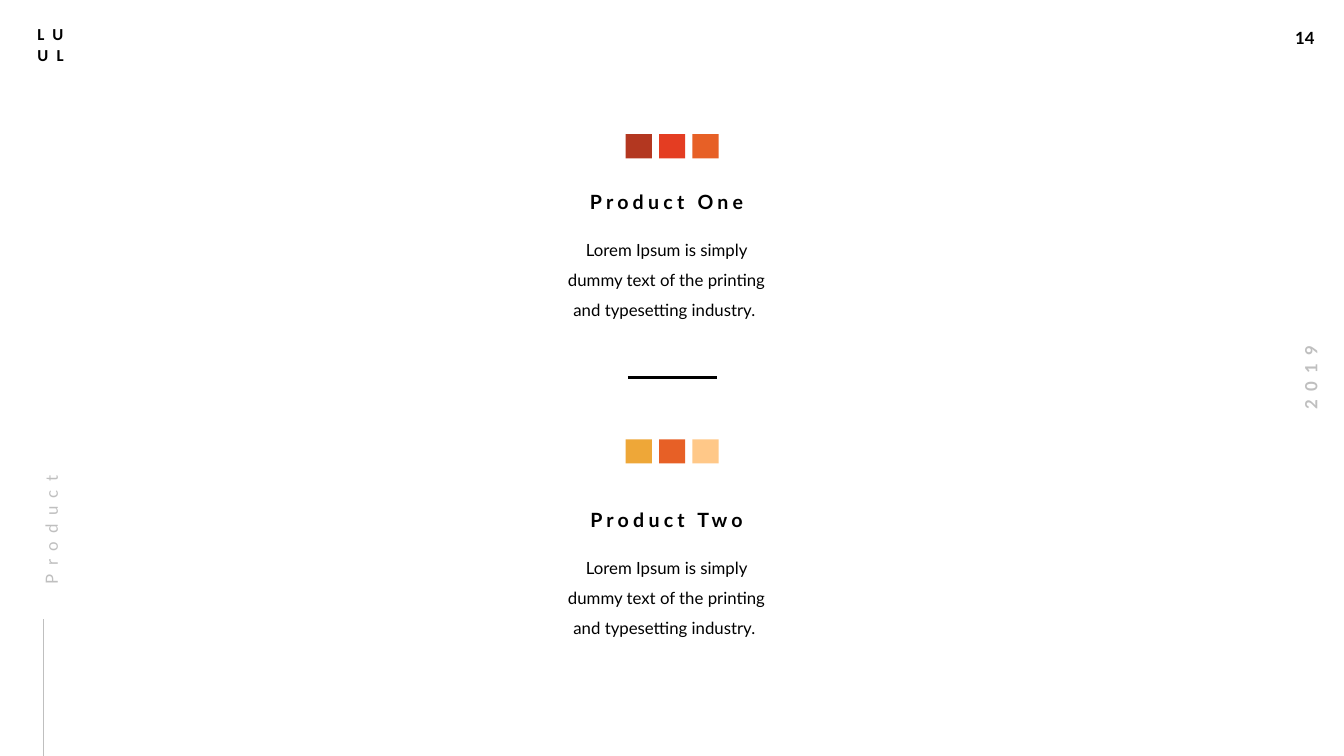
from lxml import etree
from pptx import Presentation
from pptx.dml.color import RGBColor
from pptx.enum.shapes import MSO_CONNECTOR, MSO_SHAPE
from pptx.enum.text import MSO_AUTO_SIZE, PP_ALIGN
from pptx.oxml.ns import qn
from pptx.util import Cm, Pt

STRAIGHT = MSO_CONNECTOR.STRAIGHT
RECTANGLE = MSO_SHAPE.RECTANGLE
FIT_TEXT = MSO_AUTO_SIZE.SHAPE_TO_FIT_TEXT
LEFT, CENTER = PP_ALIGN.LEFT, PP_ALIGN.CENTER

BLACK, GRAY = "000000", "BFBFBF"
DEFAULT_INSETS = (0.25, 0.13, 0.25, 0.13)
TIGHT_INSETS = (0, 0, 0.25, 0)
BLURB = "Lorem Ipsum is simply dummy text of the printing and typesetting industry. "
SLIDE_WIDTH, SLIDE_HEIGHT = 33.87, 19.05


def color(hex_code):
    """Return the colour for a hex string."""
    return RGBColor.from_string(hex_code)


def add_label(slide, box, wording, size=12, font="Lato", ink=BLACK, bold=False,
              tracking=0, align=LEFT, spacing=1.0, insets=DEFAULT_INSETS,
              wrap=True, rotation=0):
    """Place styled text in a box of (left, top, width, height) in cm."""
    label = slide.shapes.add_textbox(*map(Cm, box))
    label.rotation = rotation
    frame = label.text_frame
    frame.word_wrap = wrap
    frame.auto_size = FIT_TEXT
    (frame.margin_left, frame.margin_top,
     frame.margin_right, frame.margin_bottom) = map(Cm, insets)
    frame.text = wording
    for paragraph in frame.paragraphs:
        paragraph.alignment = align
        paragraph.line_spacing = spacing
        for run in paragraph.runs:
            run.font.size = Pt(size)
            run.font.name = font
            run.font.bold = bold
            run.font.color.rgb = color(ink)
            if tracking:
                run.font._element.set("spc", str(tracking * 100))


def add_rule(slide, start, end, ink, weight):
    """Draw a straight line between two (x, y) points in cm."""
    rule = slide.shapes.add_connector(STRAIGHT, *map(Cm, start + end))
    rule.line.color.rgb = color(ink)
    rule.line.width = Pt(weight)
    etree.SubElement(rule._element.spPr, qn("a:effectLst"))


def add_swatches(slide, left, top, palette):
    """Draw a row of equally spaced colour swatches."""
    for position, hex_code in enumerate(palette):
        swatch = slide.shapes.add_shape(
            RECTANGLE, Cm(left + position * 0.84), Cm(top), Cm(0.66), Cm(0.61))
        swatch.shadow.inherit = False
        swatch.fill.solid()
        swatch.fill.fore_color.rgb = color(hex_code)
        swatch.line.fill.background()


def add_product(slide, left, top, name, palette, heading_gap):
    """Place a product's swatches, heading and blurb in a column."""
    heading_top = top + heading_gap
    add_swatches(slide, left + 1.83, top, palette)
    add_label(slide, (left, heading_top, 5.97, 0.6), name, size=14, bold=True,
              tracking=3, align=CENTER, insets=TIGHT_INSETS)
    add_label(slide, (left + 0.23, heading_top + 1, 5.51, 2.2), BLURB,
              align=CENTER, spacing=1.5, insets=TIGHT_INSETS)


def add_margins(slide):
    """Place the monogram, page number, year and section label."""
    add_label(slide, (0.69, 0.48, 1.5, 1.27), "LU\nUL", font="Calibri",
              bold=True, tracking=6)
    add_label(slide, (SLIDE_WIDTH - 1.48, 0.56, 1.04, 0.76), "14", bold=True,
              wrap=False)
    add_label(slide, (SLIDE_WIDTH - 2.02, 9.14, 2.36, 0.76), "2019", ink=GRAY,
              bold=True, tracking=6, align=CENTER, wrap=False, rotation=270)
    add_label(slide, (-1.24, 12.04, 4.7, 0.66), "Product", ink=GRAY, tracking=6,
              spacing=1.5, insets=TIGHT_INSETS, rotation=270)
    add_rule(slide, (1.09, SLIDE_HEIGHT), (1.09, 15.6), GRAY, 0.5)


def main():
    """Build and save the product slide."""
    presentation = Presentation()
    presentation.slide_width = Cm(SLIDE_WIDTH)
    presentation.slide_height = Cm(SLIDE_HEIGHT)
    slide = presentation.slides.add_slide(presentation.slide_layouts[6])
    add_margins(slide)
    add_product(slide, 13.94, 3.38, "Product One",
                ("B33720", "E43D22", "E76026"), 1.4)
    add_rule(slide, (15.82, 9.52), (18.06, 9.52), BLACK, 2.25)
    add_product(slide, 13.94, 11.07, "Product Two",
                ("EEA738", "E76026", "FFC888"), 1.73)
    presentation.save("out.pptx")


if __name__ == "__main__":
    main()
